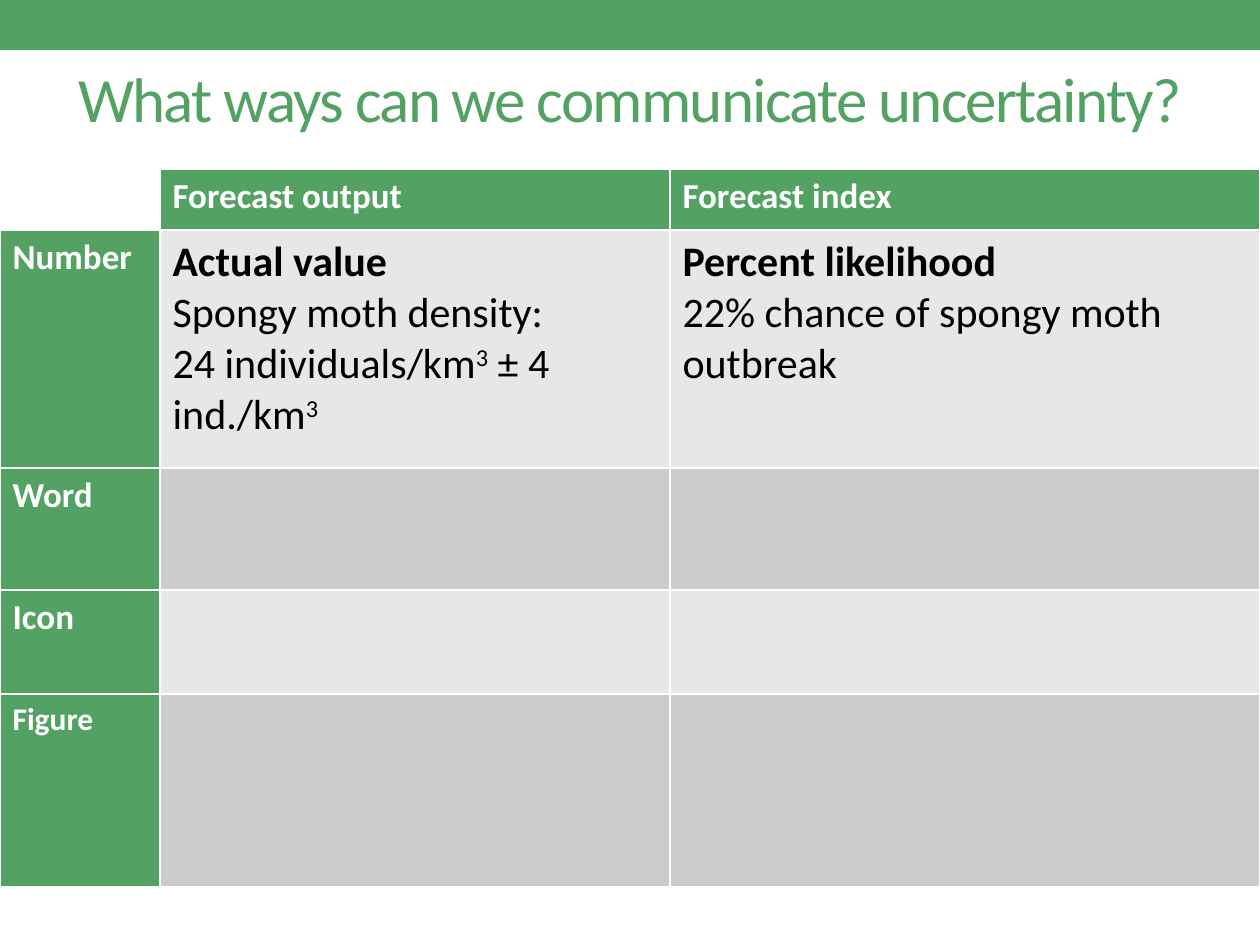
import pptx
import pptx.util
import pptx.dml.color
import pptx.enum.shapes
import pptx.enum.text
import lxml.etree
import pptx.oxml.ns

PX = 914400 // 126
GREEN = pptx.dml.color.RGBColor(0x53, 0xA2, 0x64)
LIGHT = pptx.dml.color.RGBColor(0xE7, 0xE7, 0xE7)
DARK = pptx.dml.color.RGBColor(0xCC, 0xCC, 0xCC)
WHITE = pptx.dml.color.RGBColor(0xFF, 0xFF, 0xFF)
BLACK = pptx.dml.color.RGBColor(0, 0, 0)
qn = pptx.oxml.ns.qn


def style(paragraph, size, color, bold):
    paragraph.font.name = "Calibri"
    paragraph.font.size = pptx.util.Pt(size)
    paragraph.font.color.rgb = color
    paragraph.font.bold = bold


def outline(cell):
    properties = cell._tc.get_or_add_tcPr()
    for side in ("lnL", "lnR", "lnT", "lnB"):
        line = lxml.etree.SubElement(properties, qn(f"a:{side}"), w="12700")
        paint = lxml.etree.SubElement(line, qn("a:solidFill"))
        lxml.etree.SubElement(paint, qn("a:srgbClr"), val=str(WHITE))


deck = pptx.Presentation()
deck.slide_width = 1260 * PX
deck.slide_height = 945 * PX
slide = deck.slides.add_slide(deck.slide_layouts[6])

banner = slide.shapes.add_shape(
    pptx.enum.shapes.MSO_SHAPE.RECTANGLE, 0, 0, 1260 * PX, 50 * PX)
banner.shadow.inherit = False
banner.fill.solid()
banner.fill.fore_color.rgb = GREEN
banner.line.fill.background()

title = slide.shapes.add_textbox(63 * PX, 29 * PX, 1134 * PX, 136 * PX).text_frame
title.word_wrap = True
title.vertical_anchor = pptx.enum.text.MSO_ANCHOR.MIDDLE
heading = title.paragraphs[0]
heading.alignment = pptx.enum.text.PP_ALIGN.CENTER
heading_run = heading.add_run()
heading_run.text = "What ways can we communicate uncertainty?"
heading_run._r.get_or_add_rPr().set("spc", "-100")
style(heading, 36, GREEN, False)

column_widths = [160, 510, 590]
row_heights = [61, 238, 122, 104, 193]
methods = slide.shapes.add_table(
    len(row_heights), len(column_widths), 0, 169 * PX,
    sum(column_widths) * PX, sum(row_heights) * PX).table
methods.first_row = False
methods.horz_banding = False
for column, width in zip(methods.columns, column_widths):
    column.width = width * PX
for row, height in zip(methods.rows, row_heights):
    row.height = height * PX

for r, row in enumerate(methods.rows):
    for c, cell in enumerate(row.cells):
        outline(cell)
        cell.fill.solid()
        if r == 0 and c == 0:
            cell.fill.fore_color.rgb = WHITE
        elif r == 0 or c == 0:
            cell.fill.fore_color.rgb = GREEN
        else:
            cell.fill.fore_color.rgb = LIGHT if r % 2 else DARK

headers = [
    (0, 1, "Forecast output", 20),
    (0, 2, "Forecast index", 20),
    (1, 0, "Number", 20),
    (2, 0, "Word", 20),
    (3, 0, "Icon", 20),
    (4, 0, "Figure", 18),
]
for r, c, label, size in headers:
    cell = methods.cell(r, c)
    cell.text = label
    style(cell.text_frame.paragraphs[0], size, WHITE, True)

examples = [
    (1, [["Actual value"], ["Spongy moth density:"],
         ["24 individuals/km", "3", " ± 4 ind./km", "3"]]),
    (2, [["Percent likelihood"], ["22% chance of spongy moth outbreak"]]),
]
for c, lines in examples:
    frame = methods.cell(1, c).text_frame
    for i, pieces in enumerate(lines):
        paragraph = frame.add_paragraph() if i else frame.paragraphs[0]
        for j, piece in enumerate(pieces):
            run = paragraph.add_run()
            run.text = piece
            if j % 2:
                run._r.get_or_add_rPr().set("baseline", "30000")
        style(paragraph, 24, BLACK, i == 0)

deck.save("out.pptx")
